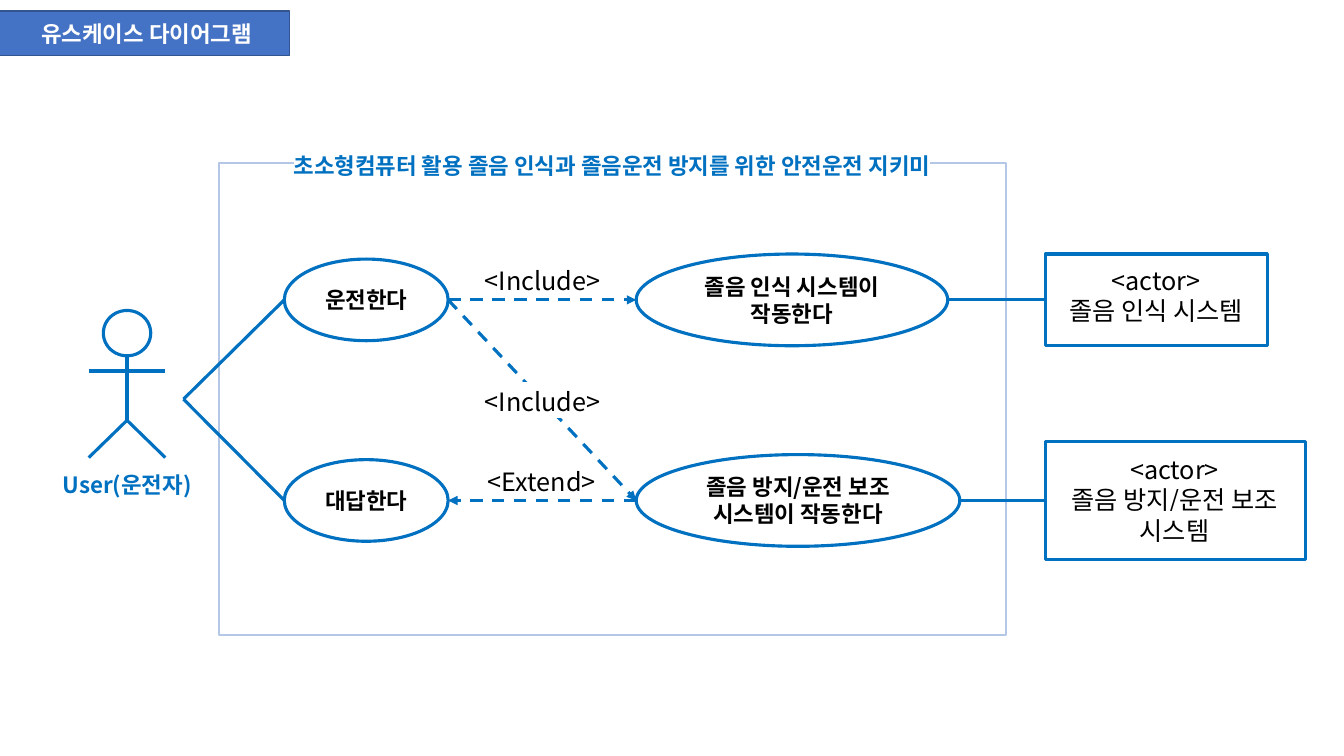
from collections import namedtuple

from lxml.etree import SubElement
from pptx import Presentation
from pptx.dml.color import RGBColor
from pptx.enum.dml import MSO_LINE
from pptx.enum.shapes import MSO_CONNECTOR, MSO_SHAPE
from pptx.enum.text import MSO_ANCHOR, MSO_AUTO_SIZE, PP_ALIGN
from pptx.oxml import parse_xml
from pptx.oxml.ns import nsdecls, qn
from pptx.util import Inches, Pt

BLUE = RGBColor(0x00, 0x70, 0xC0)
FRAME_BLUE = RGBColor(0xB4, 0xC7, 0xE7)
BANNER_BLUE = RGBColor(0x44, 0x72, 0xC4)
BANNER_EDGE = RGBColor(0x32, 0x54, 0x91)
BLACK = RGBColor(0, 0, 0)
WHITE = RGBColor(0xFF, 0xFF, 0xFF)
FONT = "Noto Sans CJK KR"
CELL = Inches(0.1)


class Box(namedtuple("Box", "left top width height")):
    @property
    def emu(self):
        return [round(length * CELL) for length in self]

    @property
    def left_middle(self):
        return self.left, self.top + self.height / 2

    @property
    def right_middle(self):
        return self.left + self.width, self.top + self.height / 2


def write(frame, text, size=16, color=BLACK, bold=False, align=PP_ALIGN.CENTER, highlight=None):
    frame.text = text
    for paragraph in frame.paragraphs:
        paragraph.alignment = align
        for run in paragraph.runs:
            run.font.size = Pt(size)
            run.font.bold = bold
            run.font.color.rgb = color
            run.font.name = FONT
            properties = run.font._element
            latin = properties.find(qn("a:latin"))
            latin.addnext(parse_xml(f'<a:ea {nsdecls("a")} typeface="{FONT}"/>'))
            if highlight is not None:
                latin.addprevious(parse_xml(
                    f'<a:highlight {nsdecls("a")}><a:srgbClr val="{highlight}"/></a:highlight>'))


class UseCaseDiagram:
    def __init__(self, slide, color=BLUE, line_width=2.25):
        self.slide = slide
        self.color = color
        self.line_width = line_width

    def title(self, text, box):
        title = self.slide.shapes.title
        title.left, title.top, title.width, title.height = box.emu
        title.fill.solid()
        title.fill.fore_color.rgb = BANNER_BLUE
        title.line.color.rgb = BANNER_EDGE
        title.line.width = Pt(1)
        frame = title.text_frame
        frame.auto_size = MSO_AUTO_SIZE.NONE
        frame.vertical_anchor = MSO_ANCHOR.MIDDLE
        frame.margin_left = Inches(0.5)
        write(frame, text, color=WHITE, bold=True, align=PP_ALIGN.LEFT)

    def outline(self, kind, box, color=None, width=None, shapes=None):
        shape = (shapes or self.slide.shapes).add_shape(kind, *box.emu)
        shape.shadow.inherit = False
        shape.fill.background()
        shape.line.color.rgb = color or self.color
        shape.line.width = Pt(width or self.line_width)
        return shape

    def use_case(self, text, box):
        frame = self.outline(MSO_SHAPE.OVAL, box).text_frame
        frame.word_wrap = True
        frame.vertical_anchor = MSO_ANCHOR.MIDDLE
        write(frame, text, bold=True)

    def label(self, text, box, wrap=False, **style):
        frame = self.slide.shapes.add_textbox(*box.emu).text_frame
        frame.word_wrap = wrap
        frame.auto_size = MSO_AUTO_SIZE.SHAPE_TO_FIT_TEXT
        write(frame, text, **style)

    def tag(self, text, box, align=PP_ALIGN.LEFT):
        self.label(text, box, size=18, align=align, highlight=WHITE)

    def line(self, start, end, dashed_arrow=False, shapes=None):
        points = [round(length * CELL) for length in (*start, *end)]
        connector = (shapes or self.slide.shapes).add_connector(MSO_CONNECTOR.STRAIGHT, *points)
        connector.line.color.rgb = self.color
        connector.line.width = Pt(self.line_width)
        if dashed_arrow:
            connector.line.dash_style = MSO_LINE.DASH
            SubElement(connector.line._get_or_add_ln(), qn("a:tailEnd"), type="triangle")
        SubElement(connector._element.spPr, qn("a:effectLst"))

    def person(self, center, top):
        shapes = self.slide.shapes.add_group_shape().shapes
        self.outline(MSO_SHAPE.OVAL, Box(center - 2.35, top, 4.7, 4.5), shapes=shapes)
        hip = (center, top + 10.9)
        self.line((center, top + 4.5), hip, shapes=shapes)
        self.line((center - 3.8, top + 6), (center + 3.8, top + 6), shapes=shapes)
        for side in (-3.8, 3.8):
            self.line((center + side, top + 14.6), hip, shapes=shapes)

    def actor(self, text, box, text_box):
        self.outline(MSO_SHAPE.RECTANGLE, box)
        self.tag(text, text_box, align=PP_ALIGN.CENTER)


presentation = Presentation()
presentation.slide_width = Inches(13.33)
presentation.slide_height = Inches(7.5)
slide = presentation.slides.add_slide(presentation.slide_layouts[5])
diagram = UseCaseDiagram(slide)

diagram.title("유스케이스 다이어그램", Box(-0.9, 1.1, 29.6, 4.4))
diagram.outline(MSO_SHAPE.RECTANGLE, Box(21.7, 16.2, 78.1, 46.8), FRAME_BLUE, 1.5)
diagram.label("User(운전자)", Box(3.9, 46.2, 17.4, 3.7), wrap=True, color=BLUE, bold=True)
diagram.person(12.6, 30.8)

drive = Box(28.2, 25.7, 16.25, 8.1)
answer = drive._replace(top=45.6)
detect = Box(63.1, 25.2, 30.9, 9.1)
prevent = Box(63.1, 45.1, 32.1, 9.1)
for text, box in (
    ("운전한다", drive),
    ("대답한다", answer),
    ("졸음 인식 시스템이 작동한다", detect),
    ("졸음 방지/운전 보조 시스템이 작동한다", prevent),
):
    diagram.use_case(text, box)

for box in (drive, answer):
    diagram.line((18.2, 39.6), box.left_middle)
for start, end in (
    (drive.right_middle, detect.left_middle),
    (drive.right_middle, prevent.left_middle),
    (prevent.left_middle, answer.right_middle),
):
    diagram.line(start, end, dashed_arrow=True)
for text, left, top in (
    ("<Include>", 47.1, 25.8),
    ("<Include>", 47.1, 37.8),
    ("<Extend>", 47.4, 45.8),
):
    diagram.tag(text, Box(left, top, 13.8, 4))

detector = Box(103.7, 25.2, 22, 9.1)
preventer = Box(103.7, 43.8, 25.8, 11.7)
diagram.line(detect.right_middle, detector.left_middle)
diagram.line(prevent.right_middle, preventer.left_middle)
diagram.actor("<actor>\n졸음 인식 시스템", detector, Box(103.9, 25.8, 21.5, 7.1))
diagram.actor("<actor>\n졸음 방지/운전 보조\n시스템", preventer, Box(104, 44.6, 25, 10.1))
diagram.label(
    "초소형컴퓨터 활용 졸음 인식과 졸음운전 방지를 위한 안전운전 지키미",
    Box(24, 14.6, 73.4, 3.7), color=BLUE, bold=True, highlight=WHITE)

presentation.save("out.pptx")
